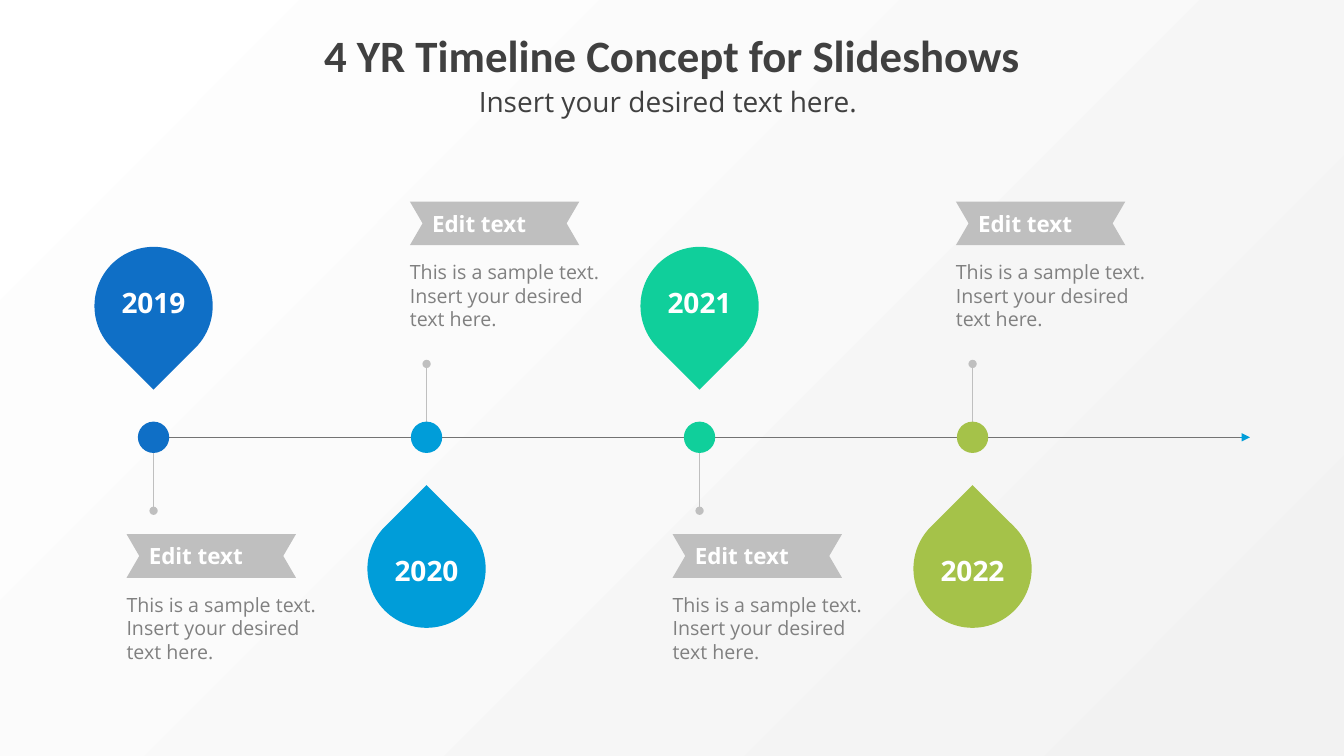
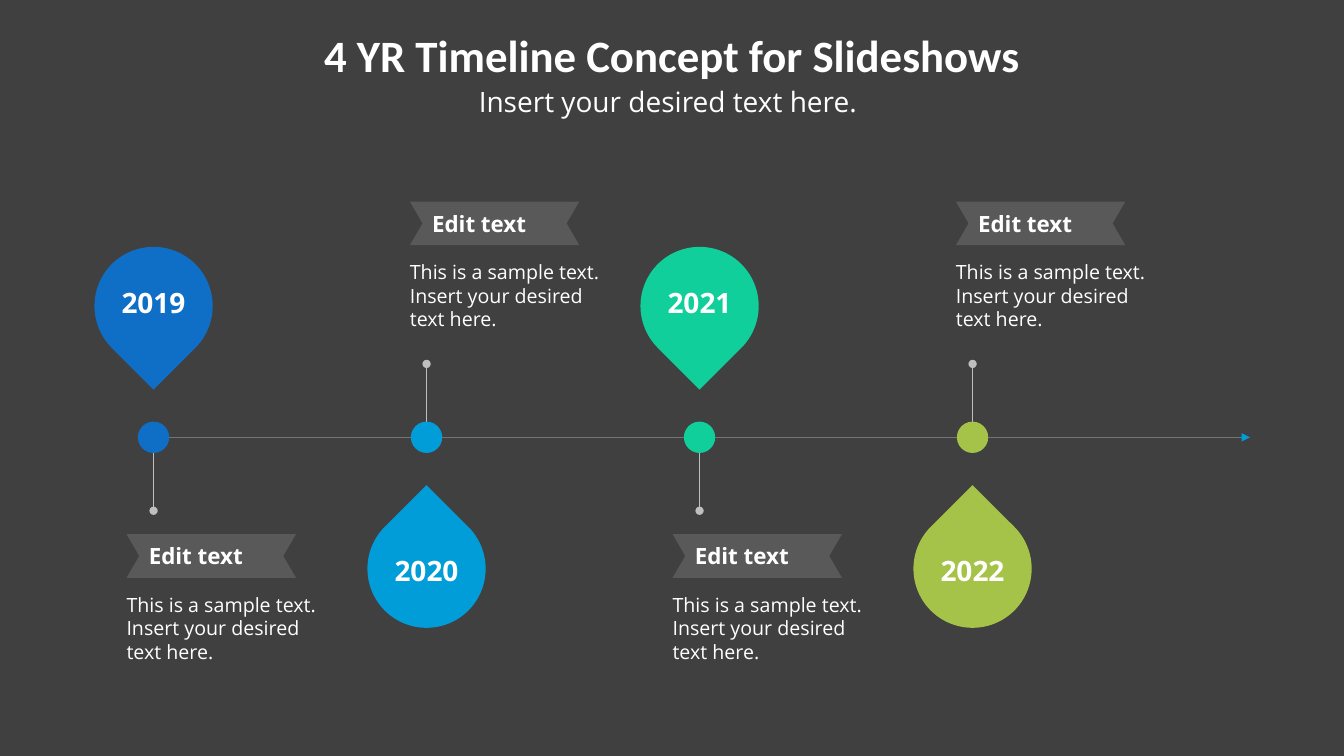
from dataclasses import dataclass

from lxml.etree import SubElement
from pptx import Presentation
from pptx.dml.color import RGBColor
from pptx.enum.shapes import MSO_CONNECTOR, MSO_SHAPE
from pptx.enum.text import MSO_ANCHOR, MSO_AUTO_SIZE, PP_ALIGN
from pptx.oxml.ns import qn
from pptx.util import Cm, Pt

TITLE_FONT, BODY_FONT = "Calibri", "Open Sans"
WHITE, STEM_GREY, AXIS_GREY, ARROW_BLUE = "FFFFFF", "BFBFBF", "737373", "009DD9"
STATIONS = [("2019", "0F6FC6"), ("2020", "009DD9"),
            ("2021", "10CF9B"), ("2022", "A5C249")]

# Timeline measures in centimetres
PITCH = 6.88
DOT = 0.79
STEM_END = 1.85
PIN = 2.98
PIN_OFFSET = 3.31
YEAR_OFFSET = 3.37
YEAR_WIDTH, YEAR_HEIGHT = 2.2, 1.14
RIBBON_WIDTH, RIBBON_HEIGHT, NOTCH = 4.27, 1.1, 0.32
ARROW = 0.25


@dataclass
class Theme:
    background: tuple
    heading: str
    ribbon: str
    body: str


LIGHT = Theme(("FFFFFF", "F2F2F2"), "404040", "BFBFBF", "808080")
DARK = Theme(("404040",), WHITE, "595959", WHITE)


def color(hex_value):
    return RGBColor.from_string(hex_value)


def add_text(frame, text, size, hex_value, font=BODY_FONT, bold=False,
             align=PP_ALIGN.LEFT):
    paragraph = frame.paragraphs[0]
    paragraph.alignment = align
    paragraph.space_before = Pt(0)
    run = paragraph.add_run()
    run.text = text
    run.font.name = font
    run.font.size = Pt(size)
    run.font.bold = bold
    run.font.color.rgb = color(hex_value)


def add_text_box(slide, left, top, width, height, text, size, hex_value,
                 wrap=True, **style):
    box = slide.shapes.add_textbox(Cm(left), Cm(top), Cm(width), Cm(height))
    box.text_frame.word_wrap = wrap
    box.text_frame.auto_size = MSO_AUTO_SIZE.SHAPE_TO_FIT_TEXT
    add_text(box.text_frame, text, size, hex_value, **style)


def paint(shape, hex_value):
    shape.shadow.inherit = False
    shape.fill.solid()
    shape.fill.fore_color.rgb = color(hex_value)
    shape.line.fill.background()


def add_line(slide, start, end, hex_value, arrowhead=None):
    connector = slide.shapes.add_connector(
        MSO_CONNECTOR.STRAIGHT, *(Cm(value) for value in start + end))
    connector.line.color.rgb = color(hex_value)
    connector.line.width = Pt(0.75)
    properties = connector._element.spPr
    if arrowhead:
        SubElement(properties.find(qn("a:ln")), qn("a:tailEnd"), type=arrowhead)
    SubElement(properties, qn("a:effectLst"))


def add_centered(slide, kind, x, y, size, hex_value):
    shape = slide.shapes.add_shape(
        kind, Cm(x - size / 2), Cm(y - size / 2), Cm(size), Cm(size))
    paint(shape, hex_value)
    return shape


def set_background(slide, theme):
    fill = slide.background.fill
    if len(theme.background) == 1:
        fill.solid()
        fill.fore_color.rgb = color(theme.background[0])
        return
    fill.gradient()
    fill.gradient_angle = 315
    for stop, hex_value in zip(fill.gradient_stops, theme.background):
        stop.color.rgb = color(hex_value)


def fill_heading(placeholder, box, text, size, theme, **style):
    placeholder.left, placeholder.top, placeholder.width, placeholder.height = (
        Cm(value) for value in box)
    frame = placeholder.text_frame
    frame.margin_left = frame.margin_right = 0
    frame.word_wrap = True
    frame.auto_size = MSO_AUTO_SIZE.NONE
    frame.vertical_anchor = MSO_ANCHOR.TOP
    add_text(frame, text, size, theme.heading, align=PP_ALIGN.CENTER, **style)


def add_ribbon(slide, left, top, theme):
    right, bottom = left + RIBBON_WIDTH, top + RIBBON_HEIGHT
    middle = top + RIBBON_HEIGHT / 2
    outline = [(right, top), (right - NOTCH, middle), (right, bottom),
               (left, bottom), (left + NOTCH, middle)]
    builder = slide.shapes.build_freeform(Cm(left), Cm(top))
    builder.add_line_segments([(Cm(x), Cm(y)) for x, y in outline], close=True)
    ribbon = builder.convert_to_shape()
    paint(ribbon, theme.ribbon)
    frame = ribbon.text_frame
    frame.margin_left = frame.margin_right = Cm(0.56)
    frame.vertical_anchor = MSO_ANCHOR.MIDDLE
    frame.word_wrap = True
    add_text(frame, "Edit text", 16, WHITE, bold=True)


def add_label(slide, left, top, theme):
    add_ribbon(slide, left, top, theme)
    add_text_box(slide, left - 0.25, top + 1.35, 5.61, 2.11,
                 "This is a sample text. Insert your desired text here.",
                 14, theme.body)


def add_station(slide, x, y, year, hex_value, pin_above, theme):
    side = -1 if pin_above else 1  # the pin's side; the label is opposite
    # Stem and dot
    add_line(slide, (x, y - side * DOT / 2), (x, y - side * STEM_END),
             STEM_GREY, "oval")
    add_centered(slide, MSO_SHAPE.OVAL, x, y, DOT, hex_value)
    # Pin, its tip turned to the axis
    pin = add_centered(slide, MSO_SHAPE.TEAR, x, y + side * PIN_OFFSET, PIN, hex_value)
    pin.rotation = 135 if pin_above else 315
    add_text_box(slide, x - YEAR_WIDTH / 2,
                 y + side * YEAR_OFFSET - YEAR_HEIGHT / 2,
                 YEAR_WIDTH, YEAR_HEIGHT, year, 20, WHITE, wrap=False,
                 bold=True, align=PP_ALIGN.CENTER)
    # Label
    if pin_above:
        add_label(slide, x - 0.68, y + 2.44, theme)
    else:
        add_label(slide, x - 0.42, y - 5.94, theme)


def add_timeline(slide, left, axis, width, theme):
    # Axis with a coloured arrowhead
    arrow_start = left + width - ARROW
    add_line(slide, (left, axis), (arrow_start, axis), AXIS_GREY)
    add_line(slide, (arrow_start, axis), (left + width, axis), ARROW_BLUE, "triangle")
    for index, (year, hex_value) in enumerate(STATIONS):
        add_station(slide, left + index * PITCH, axis, year, hex_value,
                    index % 2 == 0, theme)


def add_timeline_slide(presentation, theme):
    slide = presentation.slides.add_slide(presentation.slide_layouts[0])
    set_background(slide, theme)
    title, subtitle = slide.placeholders
    fill_heading(title, (5.84, 0.58, 22.2, 1.63),
                 "4 YR Timeline Concept for Slideshows", 32, theme,
                 font=TITLE_FONT, bold=True)
    fill_heading(subtitle, (10.03, 2.01, 13.79, 1.12),
                 "Insert your desired text here. ", 20, theme)
    add_timeline(slide, 3.87, 11.02, 27.63, theme)


def main():
    presentation = Presentation()
    presentation.slide_width = Cm(33.87)
    presentation.slide_height = Cm(19.05)
    for theme in (LIGHT, DARK):
        add_timeline_slide(presentation, theme)
    presentation.save("out.pptx")


if __name__ == "__main__":
    main()
